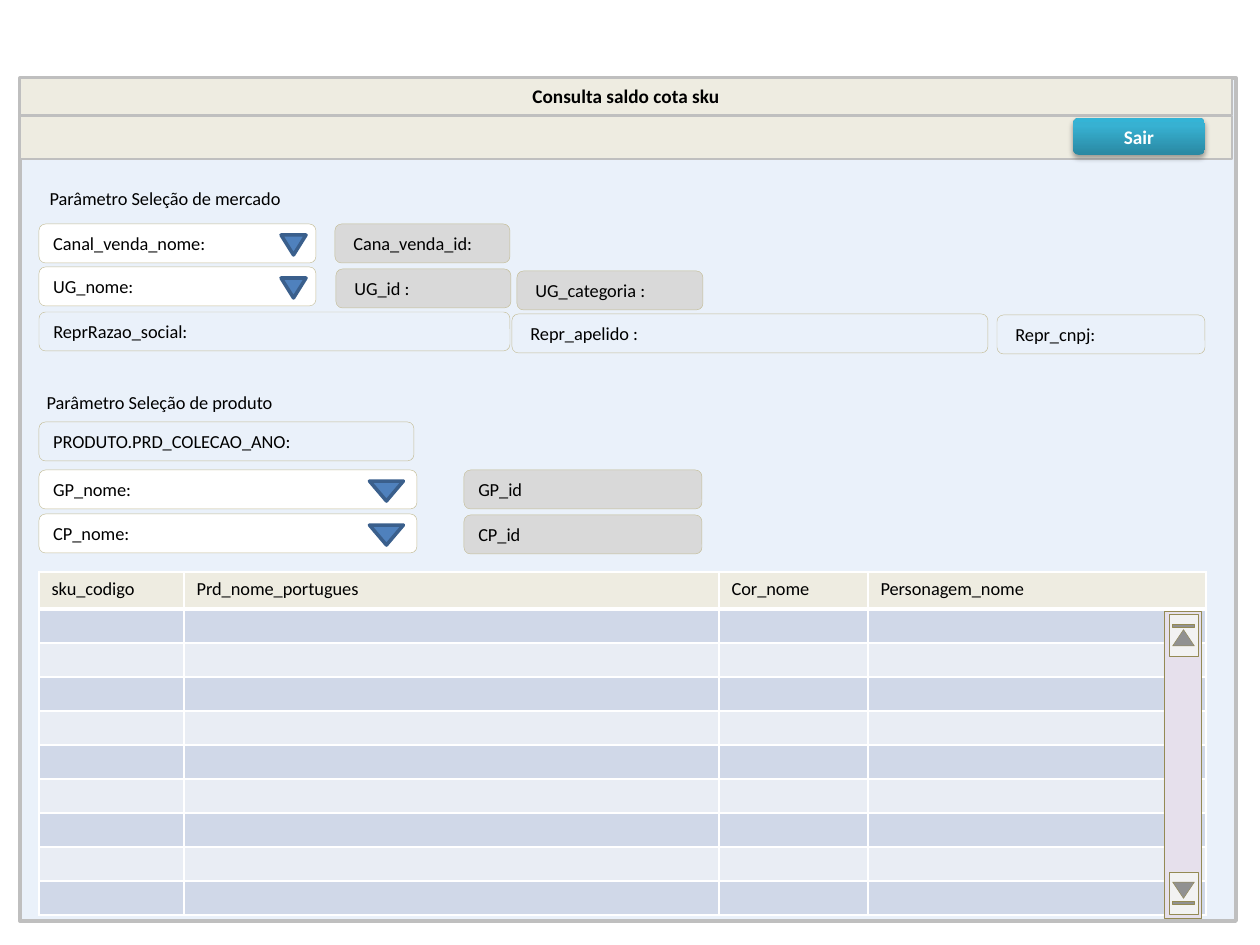
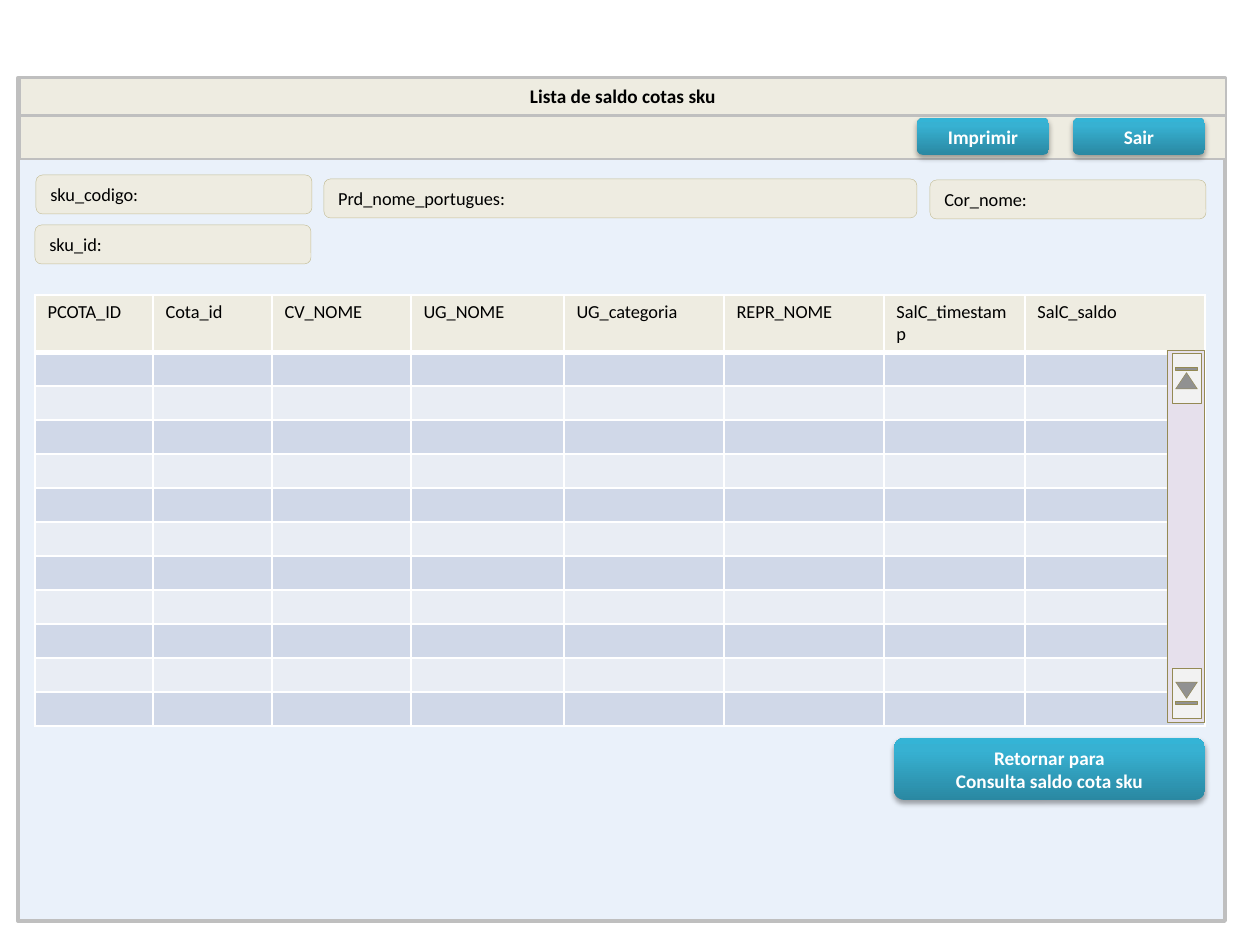
from copy import deepcopy

from lxml.etree import SubElement
from pptx import Presentation
from pptx.dml.color import RGBColor
from pptx.enum.shapes import MSO_SHAPE as Preset
from pptx.enum.text import MSO_ANCHOR as Anchor, MSO_AUTO_SIZE as AutoSize, PP_ALIGN as Align
from pptx.oxml.ns import qn
from pptx.util import Pt

EMU_PER_PIXEL = 914400 / 126
PAGE_SIZE = (1260, 945)
FONT = "Calibri"
LABEL_SIZE = 10.5
TITLE_SIZE = 11
EMPTY_CELL_SIZE = 10
FIELD_HEIGHT = 39
HEADER_TOP = 78
TITLE_HEIGHT = 37
TOOLBAR_HEIGHT = 43
ROW_HEIGHT = 34

BLACK = RGBColor(0x00, 0x00, 0x00)
WHITE = RGBColor(0xFF, 0xFF, 0xFF)
PANEL = RGBColor(0xEA, 0xF1, 0xFA)
PANEL_LINE = RGBColor(0xBF, 0xBF, 0xBF)
BEIGE = RGBColor(0xEE, 0xEC, 0xE1)
FIELD_LINE = RGBColor(0xC4, 0xBD, 0x97)
READ_ONLY = RGBColor(0xD9, 0xD9, 0xD9)
ARROW = RGBColor(0x4F, 0x81, 0xBD)
ARROW_LINE = RGBColor(0x3A, 0x5F, 0x8C)
ROW_DARK = RGBColor(0xD0, 0xD8, 0xE8)
ROW_LIGHT = RGBColor(0xE9, 0xED, 0xF4)
TRACK = RGBColor(0xE6, 0xE0, 0xEC)
SCROLL_BUTTON = RGBColor(0xF2, 0xF2, 0xF2)
SCROLL_LINE = RGBColor(0x94, 0x8A, 0x54)
BUTTON_STOPS = [
    (0, RGBColor(0x2A, 0x88, 0xA2)),
    (80, RGBColor(0x37, 0xB1, 0xD2)),
    (100, RGBColor(0x34, 0xB4, 0xD6)),
]


def px(length):
    return round(length * EMU_PER_PIXEL)


def paint(shape, fill, line, width):
    if fill is None:
        shape.fill.background()
    else:
        shape.fill.solid()
        shape.fill.fore_color.rgb = fill
    if line is None:
        shape.line.fill.background()
    else:
        shape.line.color.rgb = line
        shape.line.width = Pt(width)


def add_box(shapes, preset, box, fill=None, line=None, width=0.25):
    shape = shapes.add_shape(preset, *map(px, box))
    shape.shadow.inherit = False
    paint(shape, fill, line, width)
    return shape


def write(frame, lines, size=LABEL_SIZE, color=BLACK, bold=False,
          align=Align.LEFT, anchor=Anchor.MIDDLE):
    frame.word_wrap = True
    frame.vertical_anchor = anchor
    for index, line in enumerate(lines):
        para = frame.add_paragraph() if index else frame.paragraphs[0]
        para.alignment = align
        span = para.add_run()
        span.text = line
        span.font.name = FONT
        span.font.size = Pt(size)
        span.font.bold = bold
        span.font.color.rgb = color


def add_window(deck, title, panel, header_left, header_width):
    page = deck.slides.add_slide(deck.slide_layouts[5])
    backdrop = add_box(page.shapes, Preset.RECTANGLE, panel, PANEL, PANEL_LINE, 2.25)
    heading = page.shapes.title
    backdrop._element.addnext(heading._element)
    heading.left, heading.top = px(header_left), px(HEADER_TOP)
    heading.width, heading.height = px(header_width), px(TITLE_HEIGHT)
    paint(heading, BEIGE, PANEL_LINE, 0.75)
    write(heading.text_frame, [title], TITLE_SIZE, bold=True,
          align=Align.CENTER, anchor=Anchor.TOP)
    heading.text_frame.auto_size = AutoSize.NONE
    toolbar = (header_left, HEADER_TOP + TITLE_HEIGHT + 1, header_width, TOOLBAR_HEIGHT)
    add_box(page.shapes, Preset.RECTANGLE, toolbar, BEIGE, PANEL_LINE, 0.75)
    return page


def add_section(page, box, label):
    shape = add_box(page.shapes, Preset.ROUND_2_SAME_RECTANGLE, box)
    write(shape.text_frame, [label], anchor=Anchor.TOP)


def add_field(shapes, left, top, width, label, fill=None):
    box = (left, top, width, FIELD_HEIGHT)
    shape = add_box(shapes, Preset.ROUNDED_RECTANGLE, box, fill, FIELD_LINE)
    write(shape.text_frame, [label])


def add_dropdown(page, left, top, width, label, arrow_width):
    shapes = page.shapes.add_group_shape().shapes
    add_field(shapes, left, top, width, label, WHITE)
    arrow_left = left + width - arrow_width * 1.4
    arrow = add_box(shapes, Preset.FLOWCHART_EXTRACT,
                    (arrow_left, top + 11, arrow_width, 20), ARROW, ARROW_LINE, 2)
    arrow.rotation = 180


def add_button(page, box, lines):
    shape = add_box(page.shapes, Preset.ROUNDED_RECTANGLE, box)
    shape.fill.gradient()
    shape.fill.gradient_angle = 90
    stop_list = shape._element.spPr.find(qn("a:gradFill")).find(qn("a:gsLst"))
    stop_list.insert(1, deepcopy(stop_list[0]))
    for stop, (position, color) in zip(shape.fill.gradient_stops, BUTTON_STOPS):
        stop.position = position / 100
        stop.color.rgb = color
    effects = shape._element.spPr.find(qn("a:effectLst"))
    shadow = SubElement(effects, qn("a:outerShdw"), blurRad=str(Pt(3.1)),
                        dist=str(Pt(1.8)), dir="5400000", rotWithShape="0")
    shade = SubElement(shadow, qn("a:srgbClr"), val=str(BLACK))
    SubElement(shade, qn("a:alpha"), val="35000")
    write(shape.text_frame, lines, TITLE_SIZE, WHITE, True, Align.CENTER)


def add_cell_borders(cell, bottom_width):
    properties = cell._tc.get_or_add_tcPr()
    widths = {"a:lnL": 1, "a:lnR": 1, "a:lnT": 1, "a:lnB": bottom_width}
    for index, (side, width) in enumerate(widths.items()):
        border = SubElement(properties, qn(side), w=str(Pt(width)))
        fill = SubElement(border, qn("a:solidFill"))
        SubElement(fill, qn("a:srgbClr"), val=str(WHITE))
        properties.insert(index, border)


def add_grid(page, left, top, columns, header_height, row_count):
    heights = [header_height] + [ROW_HEIGHT] * row_count
    box = (left, top, sum(width for _, width in columns), sum(heights))
    table = page.shapes.add_table(len(heights), len(columns), *map(px, box)).table
    for row, height in zip(table.rows, heights):
        row.height = px(height)
    for column_index, (label, width) in enumerate(columns):
        table.columns[column_index].width = px(width)
        for row_index in range(len(heights)):
            cell = table.cell(row_index, column_index)
            cell.fill.solid()
            if row_index == 0:
                cell.fill.fore_color.rgb = BEIGE
                write(cell.text_frame, [label], anchor=Anchor.TOP)
                cell.vertical_anchor = Anchor.TOP
            else:
                cell.fill.fore_color.rgb = ROW_DARK if row_index % 2 else ROW_LIGHT
                SubElement(cell.text_frame.paragraphs[0]._p, qn("a:endParaRPr"),
                           sz=str(EMPTY_CELL_SIZE * 100))
            add_cell_borders(cell, 1 if row_index else 3)


def add_scrollbar(page, box, button_length):
    left, top, width, height = box
    shapes = page.shapes.add_group_shape().shapes
    add_box(shapes, Preset.RECTANGLE, box, TRACK, SCROLL_LINE)
    thickness = 29
    button_left = left + (width - button_length) / 2 + 1
    for button_top, rotation in ((top + 3, 270), (top + height - button_length - 4, 90)):
        center = button_top + button_length / 2
        button = add_box(shapes, Preset.ACTION_BUTTON_END,
                         (button_left, center - thickness / 2, button_length, thickness),
                         SCROLL_BUTTON, SCROLL_LINE)
        button.rotation = rotation


def build_query(deck):
    page = add_window(deck, "Consulta saldo cota sku", (20, 78, 1216, 843), 20, 1212)
    add_section(page, (35, 179, 689, 44), "Parâmetro Seleção de mercado")
    add_section(page, (32, 383, 1174, 49), "Parâmetro Seleção de produto")
    add_button(page, (1073, 118, 132, 37), ["Sair"])
    for left, top, width, label, arrow_width in (
        (39, 224, 277, "Canal_venda_nome:", 25),
        (39, 267, 277, "UG_nome:", 25),
        (39, 470, 378, "GP_nome:", 34),
        (39, 514, 378, "CP_nome:", 34),
    ):
        add_dropdown(page, left, top, width, label, arrow_width)
    for left, top, width, label, fill in (
        (335, 224, 175, " Cana_venda_id:", READ_ONLY),
        (336, 269, 175, " UG_id :", READ_ONLY),
        (517, 271, 186, " UG_categoria :", READ_ONLY),
        (39, 312, 471, "ReprRazao_social:", None),
        (512, 314, 476, " Repr_apelido :", None),
        (997, 315, 208, " Repr_cnpj:", None),
        (39, 422, 375, "PRODUTO.PRD_COLECAO_ANO:", None),
        (464, 470, 238, "GP_id", READ_ONLY),
        (464, 515, 238, "CP_id", READ_ONLY),
    ):
        add_field(page.shapes, left, top, width, label, fill)
    columns = [("sku_codigo", 145), ("Prd_nome_portugues", 535),
               ("Cor_nome", 149), ("Personagem_nome", 338)]
    add_grid(page, 39, 572, columns, 37, 9)
    add_scrollbar(page, (1164, 611, 37, 307), 42)


def build_list(deck):
    page = add_window(deck, "Lista de saldo cotas sku", (18, 78, 1207, 843), 20, 1206)
    columns = [("PCOTA_ID", 118), ("Cota_id", 119), ("CV_NOME", 139), ("UG_NOME", 153),
               ("UG_categoria", 160), ("REPR_NOME", 160), ("SalC_timestamp", 141),
               ("SalC_saldo", 180)]
    add_grid(page, 35, 295, columns, 57, 11)
    for left, top, width, label in (
        (36, 175, 276, "sku_codigo:"),
        (35, 225, 276, "sku_id:"),
        (324, 179, 593, "Prd_nome_portugues:"),
        (930, 180, 276, "Cor_nome:"),
    ):
        add_field(page.shapes, left, top, width, label, BEIGE)
    add_button(page, (917, 118, 132, 37), ["Imprimir"])
    add_button(page, (1073, 118, 132, 37), ["Sair"])
    add_button(page, (894, 738, 311, 62), ["Retornar para", "Consulta saldo cota sku"])
    add_scrollbar(page, (1167, 350, 37, 372), 50)


deck = Presentation()
deck.slide_width, deck.slide_height = map(px, PAGE_SIZE)
build_query(deck)
build_list(deck)
deck.save("out.pptx")
